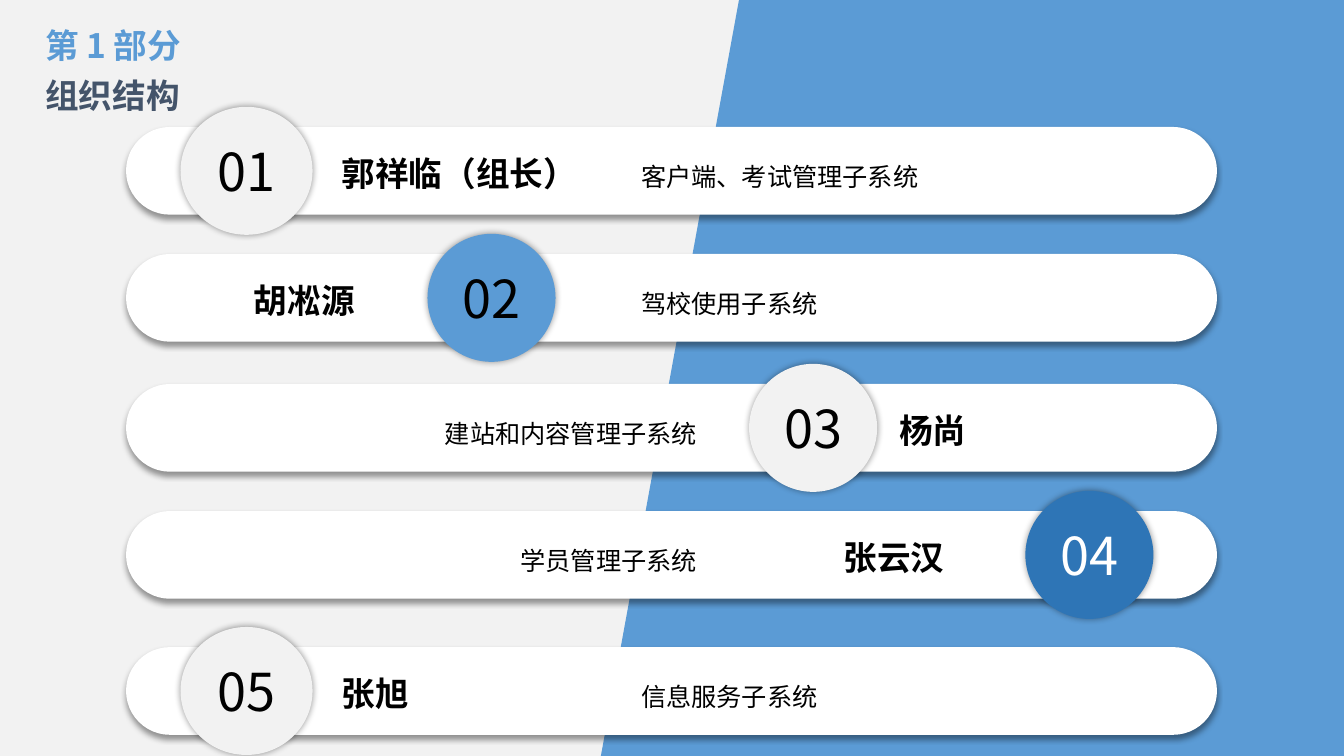
from lxml.etree import SubElement
from pptx import Presentation
from pptx.dml.color import RGBColor
from pptx.enum.shapes import MSO_SHAPE
from pptx.enum.text import MSO_ANCHOR, MSO_AUTO_SIZE, PP_ALIGN
from pptx.oxml.ns import qn
from pptx.util import Inches, Pt

FONT = "Noto Sans CJK SC"
PALE = RGBColor(0xF2, 0xF2, 0xF2)
BLUE = RGBColor(0x5B, 0x9B, 0xD5)
DEEP = RGBColor(0x2E, 0x75, 0xB6)
SLATE = RGBColor(0x44, 0x54, 0x6A)
WHITE = RGBColor(0xFF, 0xFF, 0xFF)
BLACK = RGBColor(0x00, 0x00, 0x00)


def write(shape, text, size, color, bold=False, align=PP_ALIGN.LEFT, space=None):
    para = shape.text_frame.paragraphs[0]
    para.text = text
    para.alignment = align
    para.line_spacing = space
    font = para.font
    font.name, font.size, font.bold = FONT, Pt(size), bold
    font.color.rgb = color
    # East Asian glyphs take their typeface from a:ea
    for props in (font._element, para.runs[0].font._element):
        SubElement(props, qn("a:ea"), typeface=FONT)


def add_card(kind, box, color, blur, drop):
    """Add a borderless shape whose soft shadow falls straight down."""
    card = slide.shapes.add_shape(kind, *map(Inches, box))
    card.fill.solid()
    card.fill.fore_color.rgb = color
    card.line.fill.background()
    card.shadow.inherit = False
    effects = card._element.spPr.find(qn("a:effectLst"))
    shade = SubElement(effects, qn("a:outerShdw"), blurRad=str(Pt(blur)),
                       dist=str(Pt(drop)), dir="5400000", algn="ctr", rotWithShape="0")
    tint = SubElement(shade, qn("a:srgbClr"), val="000000")
    SubElement(tint, qn("a:alpha"), val="40000")
    return card


deck = Presentation()
deck.slide_width, deck.slide_height = Inches(13.33), Inches(7.5)
slide = deck.slides.add_slide(deck.slide_layouts[5])
slide.background.fill.solid()
slide.background.fill.fore_color.rgb = PALE

# Slanted blue side
path = slide.shapes.build_freeform(Inches(7.33), 0)
path.add_line_segments([(Inches(x), Inches(y)) for x, y in
                        ((13.33, 0), (13.33, 7.5), (5.96, 7.5))])
side = path.convert_to_shape()
side.fill.solid()
side.fill.fore_color.rgb = BLUE
side.line.fill.background()
side.shadow.inherit = False

# Headings
part = slide.shapes.add_textbox(*map(Inches, (0.35, 0.28, 3.84, 0.46)))
part.text_frame.word_wrap = True
write(part, "第 1 部分", 24, BLUE, True, space=0.8)
title = slide.shapes.title
title.left, title.top, title.width, title.height = map(Inches, (0.35, 0.74, 3.84, 0.58))
title.text_frame.vertical_anchor = MSO_ANCHOR.TOP
write(title, "组织结构", 24, SLATE, True, space=0.9)

# Bar top, circle left, width, fill and digits, name left, name, task left, task
LEFT, RIGHT = 6.26, 1.56
TEAM = [
    (1.26, 1.79, 1.31, PALE, BLACK, 3.29, "郭祥临（组长）", LEFT, "客户端、考试管理子系统"),
    (2.52, 4.24, 1.27, BLUE, BLACK, 2.42, "胡凇源", LEFT, "驾校使用子系统"),
    (3.81, 7.43, 1.27, PALE, BLACK, 8.82, "杨尚", RIGHT, "建站和内容管理子系统"),
    (5.07, 10.17, 1.27, DEEP, WHITE, 8.27, "张云汉", RIGHT, "学员管理子系统"),
    (6.42, 1.79, 1.31, PALE, BLACK, 3.29, "张旭", LEFT, "信息服务子系统"),
]
for num, (top, spot, wide, fill, ink, near, name, far, task) in enumerate(TEAM, 1):
    bar = add_card(MSO_SHAPE.ROUNDED_RECTANGLE, (1.25, top, 10.82, 0.87), WHITE, 4, 3)
    bar.adjustments[0] = 0.5

    job = slide.shapes.add_textbox(*map(Inches, (far, top + 0.2, 5.45, 0.46)))
    job.text_frame.word_wrap = True
    job.text_frame.auto_size = MSO_AUTO_SIZE.SHAPE_TO_FIT_TEXT
    align = PP_ALIGN.RIGHT if far == RIGHT else PP_ALIGN.LEFT
    write(job, task, 18, BLACK, align=align, space=1.3)

    span = 0.21 + len(name) / 3
    label = slide.shapes.add_textbox(*map(Inches, (near, top + 0.21, span, 0.5)))
    label.text_frame.word_wrap = False
    label.text_frame.auto_size = MSO_AUTO_SIZE.SHAPE_TO_FIT_TEXT
    write(label, name, 24, BLACK, True)

    disc = add_card(MSO_SHAPE.OVAL, (spot, top - 0.2, wide, 1.27), fill, 5, 0)
    disc.text_frame.vertical_anchor = MSO_ANCHOR.MIDDLE
    write(disc, f"{num:02}", 37.3, ink, align=PP_ALIGN.CENTER)

deck.save("out.pptx")
